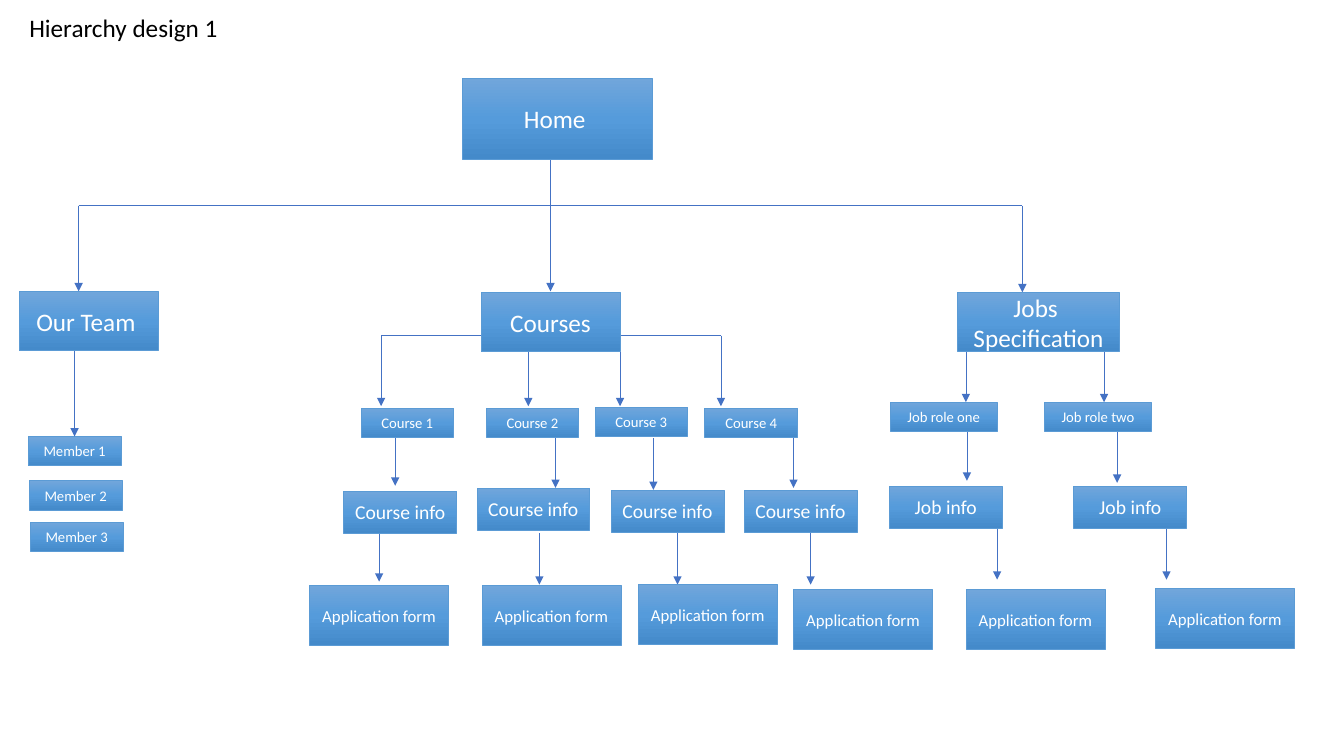
from copy import deepcopy
from dataclasses import dataclass

from pptx import Presentation
from pptx.dml.color import RGBColor
from pptx.enum.shapes import MSO_CONNECTOR, MSO_SHAPE
from pptx.enum.text import MSO_ANCHOR, MSO_AUTO_SIZE, PP_ALIGN
from pptx.oxml.ns import qn
from pptx.util import Pt

RECT = MSO_SHAPE.RECTANGLE
STRAIGHT = MSO_CONNECTOR.STRAIGHT
LEFT, CENTER = PP_ALIGN.LEFT, PP_ALIGN.CENTER
TOP, MIDDLE = MSO_ANCHOR.TOP, MSO_ANCHOR.MIDDLE
NO_FIT = MSO_AUTO_SIZE.NONE
TITLE_ONLY = 5
TOP_SIDE = 0
PX = 9144  # EMU in one px, 100 px to the inch


@dataclass(frozen=True)
class Theme:
    font: str = "Calibri"
    title: float = 18
    section: float = 18
    info: float = 14
    form: float = 12
    item: float = 10.5
    line_width: float = 0.5
    text: str = "000000"
    box_text: str = "FFFFFF"
    border: str = "5B9BD5"
    arrow: str = "4472C4"
    gradient: tuple = ("71A6DB", "559BDB", "448ACA")


THEME = Theme()

# Box kinds: width, height, type size
HOME = (188, 80, THEME.section)
SECTION = (138, 59, THEME.section)
WIDE_SECTION = (160, 59, THEME.section)
ITEM = (92, 29, THEME.item)
ROLE = (106, 29, THEME.item)
INFO = (112, 42, THEME.info)
FORM = (138, 59, THEME.form)

# Each branch: kind, label, then item, info and form positions
COURSES = [
    ("Course 1", (358, 405), (341, 487), (307, 581)),
    ("Course 2", (482, 405), (473, 484), (478, 581)),
    ("Course 3", (590, 404), (606, 486), (633, 580)),
    ("Course 4", (699, 405), (738, 486), (787, 585)),
]
JOBS = [
    ("Job role one", (883, 399), (882, 482), (958, 585)),
    ("Job role two", (1036, 399), (1065, 482), (1146, 584)),
]

# Plain lines: x1, y1, x2, y2
BRANCH_LINES = [
    (546, 158, 546, 204),
    (78, 204, 1014, 204),
    (477, 333, 378, 333),
    (615, 333, 715, 333),
]

# Vertical arrows: x, y1, y2
ARROWS = [
    # Home to sections
    (78, 204, 289), (546, 204, 289), (1014, 204, 290),
    # Courses to each course
    (378, 333, 403), (524, 349, 403), (615, 349, 403), (715, 333, 403),
    # Course to course info
    (392, 431, 482), (551, 433, 484), (648, 435, 486), (787, 429, 484),
    # Course info to form
    (376, 526, 577), (535, 529, 580), (672, 529, 580), (804, 529, 580),
    # Jobs to roles, info and forms
    (958, 349, 399), (1095, 349, 399),
    (959, 427, 477), (1108, 428, 479),
    (989, 525, 575), (1157, 525, 575),
]


def rgb(value):
    return RGBColor.from_string(value)


def add_run(p, text, size, color):
    r = p.add_run()
    r.text = text
    r.font.name = THEME.font
    r.font.size = Pt(size)
    r.font.color.rgb = rgb(color)


def set_title(s, text, left, top, width, height):
    sp = s.shapes.title
    sp.left, sp.top, sp.width, sp.height = (
        v * PX for v in (left, top, width, height))
    tf = sp.text_frame
    tf.auto_size = NO_FIT
    tf.vertical_anchor = TOP
    p = tf.paragraphs[0]
    p.alignment = LEFT
    add_run(p, text, THEME.title, THEME.text)


def fill_gradient(sp):
    sp.fill.gradient()
    sp.fill.gradient_angle = 270
    stop_list = next(sp._element.spPr.iter(qn("a:gsLst")))
    stop_list.insert(1, deepcopy(stop_list[0]))
    for i, stop in enumerate(sp.fill.gradient_stops):
        stop.color.rgb = rgb(THEME.gradient[i])
        stop.position = i / 2


def add_box(s, kind, left, top, *lines):
    width, height, size = kind
    sp = s.shapes.add_shape(RECT, *(v * PX for v in (left, top, width, height)))
    sp.shadow.inherit = False
    fill_gradient(sp)
    sp.line.color.rgb = rgb(THEME.border)
    sp.line.width = Pt(THEME.line_width)
    tf = sp.text_frame
    tf.word_wrap = True
    tf.vertical_anchor = MIDDLE
    for i, line in enumerate(lines):
        p = tf.add_paragraph() if i else tf.paragraphs[0]
        p.alignment = CENTER
        add_run(p, line, size, THEME.box_text)
    return sp


def add_line(s, x1, y1, x2, y2, arrow=False):
    line = s.shapes.add_connector(STRAIGHT, *(v * PX for v in (x1, y1, x2, y2)))
    line.line.color.rgb = rgb(THEME.arrow)
    line.line.width = Pt(THEME.line_width)
    spPr = line._element.spPr
    if arrow:
        ln = spPr.find(qn("a:ln"))
        ln.append(ln.makeelement(qn("a:tailEnd"), {"type": "triangle"}))
    spPr.append(spPr.makeelement(qn("a:effectLst"), {}))
    return line


def add_branch(s, item_kind, info_text, branch):
    label, item, info, form = branch
    add_box(s, item_kind, *item, label)
    add_box(s, INFO, *info, info_text)
    add_box(s, FORM, *form, "Application form")


def main():
    prs = Presentation()
    prs.slide_width, prs.slide_height = 1333 * PX, 750 * PX
    s = prs.slides.add_slide(prs.slide_layouts[TITLE_ONLY])
    set_title(s, "Hierarchy design 1", 19, 7, 221, 40)

    # Lines and arrows
    for points in BRANCH_LINES:
        add_line(s, *points)
    for x, y1, y2 in ARROWS:
        add_line(s, x, y1, x, y2, arrow=True)

    # Home and sections
    add_box(s, HOME, 459, 78, "Home ")
    add_box(s, SECTION, 19, 289, "Our Team ")
    add_box(s, SECTION, 477, 290, "Courses")
    add_box(s, WIDE_SECTION, 950, 290, "Jobs ", "Specification")

    # Team members
    first = add_box(s, ITEM, 28, 433, "Member 1")
    add_box(s, ITEM, 29, 477, "Member 2")
    add_box(s, ITEM, 30, 518, "Member 3")
    add_line(s, 74, 348, 74, 433, arrow=True).end_connect(first, TOP_SIDE)

    # Courses and jobs
    for branch in COURSES:
        add_branch(s, ITEM, "Course info", branch)
    for branch in JOBS:
        add_branch(s, ROLE, "Job info", branch)

    prs.save("out.pptx")


if __name__ == "__main__":
    main()
